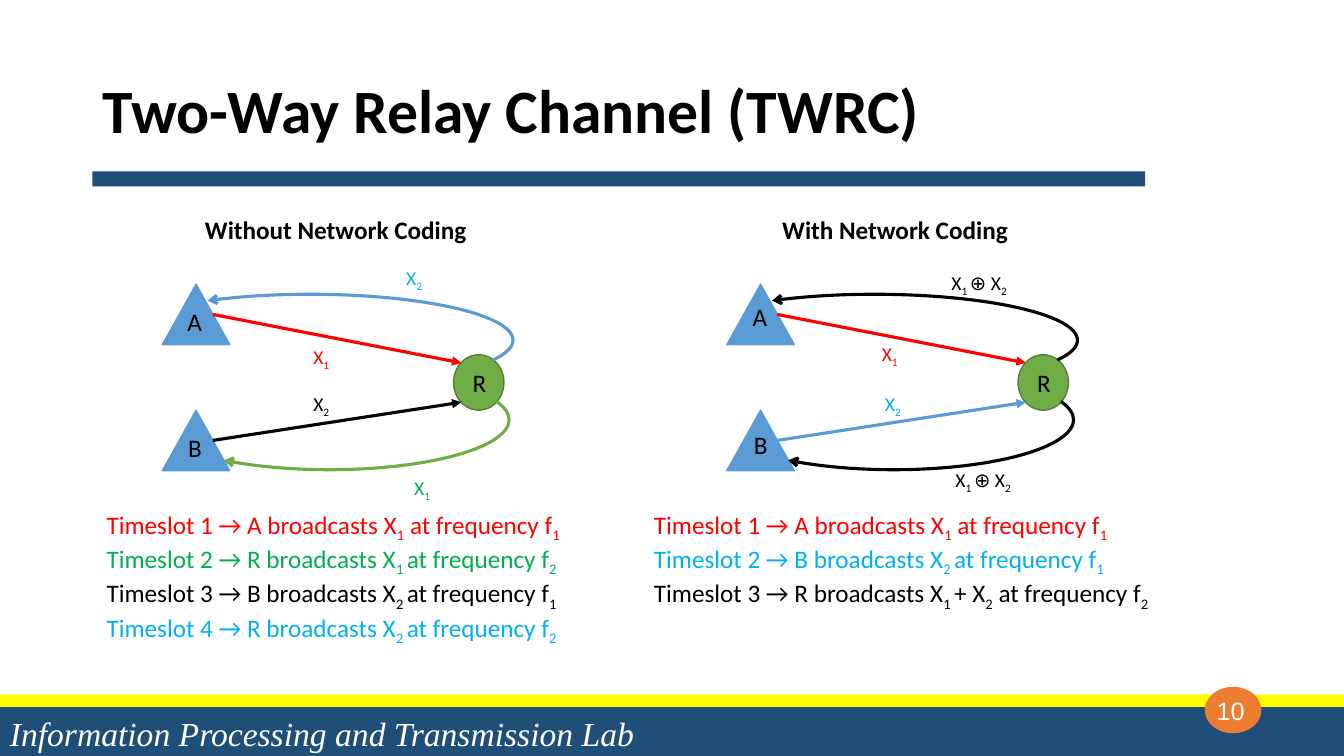
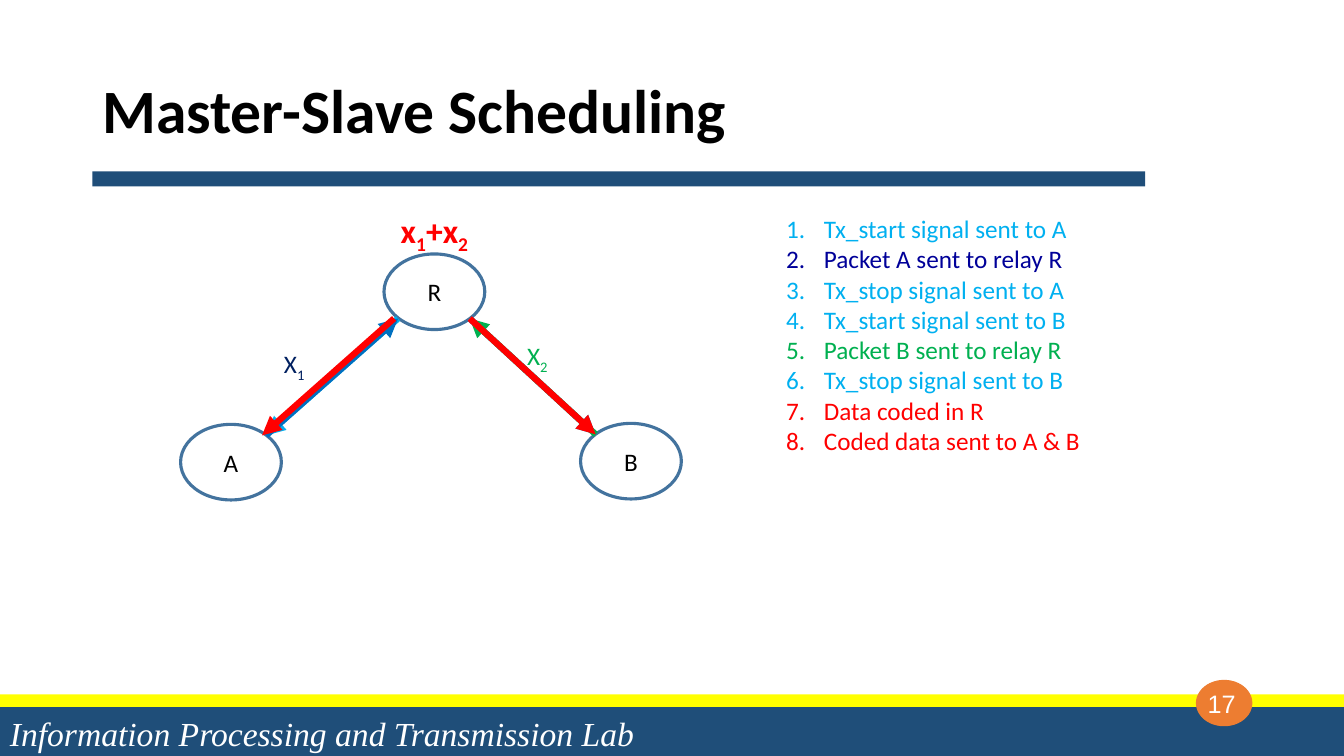
from dataclasses import dataclass
from typing import NamedTuple

from lxml.etree import SubElement
from pptx import Presentation
from pptx.dml.color import RGBColor
from pptx.enum.shapes import MSO_CONNECTOR, MSO_SHAPE
from pptx.enum.text import MSO_ANCHOR, PP_ALIGN
from pptx.oxml.ns import qn
from pptx.util import Pt

NAVY = RGBColor(0x1F, 0x4E, 0x79)
YELLOW = RGBColor(0xFF, 0xFF, 0x00)
ORANGE = RGBColor(0xED, 0x7D, 0x31)
WHITE = RGBColor(0xFF, 0xFF, 0xFF)
BLACK = RGBColor(0, 0, 0)
RED = RGBColor(0xFF, 0, 0)
GREEN = RGBColor(0, 0xB0, 0x50)
SKY = RGBColor(0, 0xB0, 0xF0)
BLUE = RGBColor(0, 0x70, 0xC0)
INDIGO = RGBColor(0, 0, 0x99)
DARK_BLUE = RGBColor(0, 0x20, 0x60)
STEEL = RGBColor(0x5B, 0x9B, 0xD5)
OUTLINE = RGBColor(0x43, 0x73, 0x9E)
LEAF = RGBColor(0x70, 0xAD, 0x47)
LEAF_EDGE = RGBColor(0x53, 0x80, 0x35)

TITLE = {"name": "Calibri", "size": Pt(44), "bold": True}
FOOTER = {"name": "Times New Roman", "size": Pt(24), "italic": True}
NUMBER = {"name": "Arial", "size": Pt(18)}
BODY = {"name": "Calibri", "size": Pt(18)}
HEADING = {**BODY, "bold": True}
SMALL = {**BODY, "size": Pt(14)}
LARGE = {**HEADING, "size": Pt(24)}


class Box(NamedTuple):
    x: float
    y: float
    w: float
    h: float


class Point(NamedTuple):
    x: float
    y: float


class Line(NamedTuple):
    """One paragraph; text between tildes is subscript."""
    text: str
    color: RGBColor = BLACK


class Label(NamedTuple):
    x: float
    y: float
    w: float
    line: Line


class Arrow(NamedTuple):
    start: Point
    end: Point
    color: RGBColor


@dataclass(frozen=True)
class Relay:
    """One relay diagram with its heading and timeslot list."""
    dx: float
    heading_x: float
    heading: str
    b_color: RGBColor
    to_a_color: RGBColor
    to_b_color: RGBColor
    names: list[Label]
    signals: list[Label]
    slots_x: float
    slots_w: float
    slots: list[Line]


def write(tf, lines: list[Line], fmt: dict, align=None, spacing=None) -> None:
    for i, line in enumerate(lines):
        p = tf.paragraphs[0] if i == 0 else tf.add_paragraph()
        p.alignment = align
        p.line_spacing = spacing
        for j, piece in enumerate(line.text.split("~")):
            if not piece:
                continue
            r = p.add_run()
            r.text = piece
            for key, value in fmt.items():
                setattr(r.font, key, value)
            r.font.color.rgb = line.color
            if j % 2:
                r.font._element.set("baseline", "-25000")


def add_text(s, box: Box, lines: list[Line], fmt: dict, align=None,
             anchor=MSO_ANCHOR.TOP, spacing=None):
    tf = s.shapes.add_textbox(*map(Pt, box)).text_frame
    tf.word_wrap = True
    tf.vertical_anchor = anchor
    write(tf, lines, fmt, align, spacing)
    return tf


def add_label(s, label: Label, fmt: dict) -> None:
    add_text(s, Box(label.x, label.y, label.w, 28), [label.line], fmt)


def add_shape(s, kind, box: Box, fill=None, line=None, width: float = 1):
    sp = s.shapes.add_shape(kind, *map(Pt, box))
    sp.shadow.inherit = False
    if fill is None:
        sp.fill.background()
    else:
        sp.fill.solid()
        sp.fill.fore_color.rgb = fill
    if line is None:
        sp.line.fill.background()
    else:
        sp.line.color.rgb = line
        sp.line.width = Pt(width)
    return sp


def add_head(sp, kind: str) -> None:
    SubElement(sp.line._get_or_add_ln(), qn("a:tailEnd"), type=kind)


def add_arrow(s, arrow: Arrow, width: float) -> None:
    c = s.shapes.add_connector(MSO_CONNECTOR.STRAIGHT,
                               *map(Pt, arrow.start + arrow.end))
    c.line.color.rgb = arrow.color
    c.line.width = Pt(width)
    add_head(c, "triangle")
    SubElement(c._element.spPr, qn("a:effectLst"))


def add_return_arc(s, box: Box, color: RGBColor, flip: bool = False) -> None:
    """Draw the curved arrow from the relay back to a node."""
    sp = add_shape(s, MSO_SHAPE.ARC, box, line=color, width=2.25)
    sp.adjustments[0] = 104.27
    sp.adjustments[1] = 203.4
    sp.rotation = 180
    if flip:
        sp._element.spPr.xfrm.set("flipV", "1")
    add_head(sp, "arrow")


def add_base_slide(prs, title: str, number: str, badge: Point):
    s = prs.slides.add_slide(prs.slide_layouts[6])
    for box, color in (
        (Box(0, 505, 960, 35), NAVY),
        (Box(0, 496, 960, 9), YELLOW),
        (Box(66, 122.4, 752, 10.8), NAVY),
    ):
        add_shape(s, MSO_SHAPE.RECTANGLE, box, color)
    add_text(s, Box(66, 28.8, 752, 104.4), [Line(title)], TITLE,
             anchor=MSO_ANCHOR.MIDDLE, spacing=0.9)
    add_text(s, Box(0, 507.6, 945, 32.4),
             [Line("Information Processing and Transmission Lab", WHITE)],
             FOOTER, anchor=MSO_ANCHOR.MIDDLE)
    add_shape(s, MSO_SHAPE.OVAL, Box(*badge, 39.6, 32.4), ORANGE, ORANGE, 0.75)
    add_text(s, Box(badge.x - 90, badge.y + 1.8, 216, 28.8),
             [Line(number, WHITE)], NUMBER, PP_ALIGN.CENTER, MSO_ANCHOR.MIDDLE)
    return s


RELAYS = [
    Relay(
        0, 116, "Without Network Coding", BLACK, STEEL, LEAF,
        [Label(126.7, 215.3, 24.5, Line("A")),
         Label(127.4, 305.3, 24.5, Line("B")),
         Label(330.5, 258.5, 24.5, Line("R"))],
        [Label(216.7, 242.6, 33, Line("X~1~", RED)),
         Label(216.7, 276.5, 33, Line("X~2~")),
         Label(283, 186.5, 57, Line("X~2~", SKY)),
         Label(288.7, 336.2, 57, Line("X~1~", GREEN))],
        69, 350,
        [Line("Timeslot 1 → A broadcasts X~1~ at frequency f~1~", RED),
         Line("Timeslot 2 → R broadcasts X~1 ~at frequency f~2~", GREEN),
         Line("Timeslot 3 → B broadcasts X~2 ~at frequency f~1~"),
         Line("Timeslot 4 → R broadcasts X~2 ~at frequency f~2~", SKY)],
    ),
    Relay(
        403.2, 515.5, "With Network Coding", STEEL, BLACK, BLACK,
        [Label(530.6, 211.7, 24.5, Line("A")),
         Label(531.4, 303.1, 24.5, Line("B")),
         Label(733.7, 258.5, 24.5, Line("R"))],
        [Label(622.8, 240.5, 33, Line("X~1~", RED)),
         Label(625, 276.5, 33, Line("X~2~", SKY)),
         Label(672.5, 190.1, 83, Line("X~1 ~⊕ X~2~")),
         Label(675.4, 330.5, 83, Line("X~1 ~⊕ X~2~"))],
        460, 374.4,
        [Line("Timeslot 1 → A broadcasts X~1~ at frequency f~1~", RED),
         Line("Timeslot 2 → B broadcasts X~2 ~at frequency f~1~", SKY),
         Line("Timeslot 3 → R broadcasts X~1 ~+ X~2~ at frequency f~2~")],
    ),
]


def add_relay(s, relay: Relay) -> None:
    dx = relay.dx
    for y in (203, 293):
        add_shape(s, MSO_SHAPE.ISOSCELES_TRIANGLE, Box(116 + dx, y, 48.2, 43.2),
                  STEEL, STEEL)
    add_shape(s, MSO_SHAPE.OVAL, Box(324 + dx, 253.4, 36, 39.6), LEAF, LEAF_EDGE)
    for y1, y2, color in ((224.6, 259.2, RED), (314.6, 287.3, relay.b_color)):
        add_arrow(s, Arrow(Point(152 + dx, y1), Point(329.6 + dx, y2), color), 2.25)
    add_return_arc(s, Box(106.6 + dx, 264.2, 257, 71.3), relay.to_b_color)
    add_return_arc(s, Box(77 + dx, 210.2, 289.4, 65.5), relay.to_a_color, flip=True)
    for label in relay.names:
        add_label(s, label, BODY)
    for label in relay.signals:
        add_label(s, label, SMALL)
    add_text(s, Box(relay.heading_x, 149.8, 247.7, 28.8), [Line(relay.heading)],
             HEADING, PP_ALIGN.CENTER)
    add_text(s, Box(relay.slots_x, 360, relay.slots_w, 94.3), relay.slots, BODY)


STEPS = [
    Line("Tx_start signal sent to A", SKY),
    Line("Packet A sent to relay R", INDIGO),
    Line("Tx_stop signal sent to A", SKY),
    Line("Tx_start signal sent to B", SKY),
    Line("Packet B sent to relay R", GREEN),
    Line("Tx_stop signal sent to B", SKY),
    Line("Data coded in R", RED),
    Line("Coded data sent to A & B", RED),
]


def add_steps(s) -> None:
    tf = add_text(s, Box(554.4, 149, 378, 203.8), STEPS, BODY)
    for p in tf.paragraphs:
        pPr = p._p.get_or_add_pPr()
        pPr.set("marL", str(int(Pt(27))))
        pPr.set("indent", str(int(Pt(-27))))
        SubElement(pPr, qn("a:buFont"), typeface="+mj-lt")
        SubElement(pPr, qn("a:buAutoNum"), type="arabicPeriod")


def add_schedule(s) -> None:
    for x, y, name in ((274.3, 181.4, "R"), (414.7, 302.4, "B"), (129, 303.1, "A")):
        sp = add_shape(s, MSO_SHAPE.OVAL, Box(x, y, 72, 54), line=OUTLINE, width=2.25)
        sp.text_frame.vertical_anchor = MSO_ANCHOR.MIDDLE
        write(sp.text_frame, [Line(name)], BODY, PP_ALIGN.CENTER)
    r_left, a_top = Point(284.4, 227.5), Point(190.1, 311)
    r_right, b_top = Point(335.5, 227.5), Point(425.5, 310.3)
    for arrow in (
        Arrow(r_left, a_top, SKY),
        Arrow(a_top, r_left, BLUE),
        Arrow(r_right, b_top, SKY),
        Arrow(b_top, r_right, GREEN),
        Arrow(Point(r_left.x - 2.9, r_left.y), Point(a_top.x - 2.9, a_top.y), RED),
        Arrow(r_right, b_top, RED),
    ):
        add_arrow(s, arrow, 4.5)
    add_text(s, Box(222.5, 146.2, 175.7, 36), [Line("x~1~+x~2~", RED)],
             LARGE, PP_ALIGN.CENTER)
    add_label(s, Label(195.8, 245.5, 56, Line("X~1~", DARK_BLUE)), BODY)
    add_label(s, Label(369.4, 239.8, 56, Line("X~2~", GREEN)), BODY)


def main() -> None:
    prs = Presentation()
    prs.slide_width, prs.slide_height = Pt(960), Pt(540)
    s = add_base_slide(prs, "Two-Way Relay Channel (TWRC)", "10", Point(861, 491))
    for relay in RELAYS:
        add_relay(s, relay)
    s = add_base_slide(prs, "Master-Slave Scheduling", "17", Point(854.6, 486))
    add_schedule(s)
    add_steps(s)
    prs.save("out.pptx")


if __name__ == "__main__":
    main()
